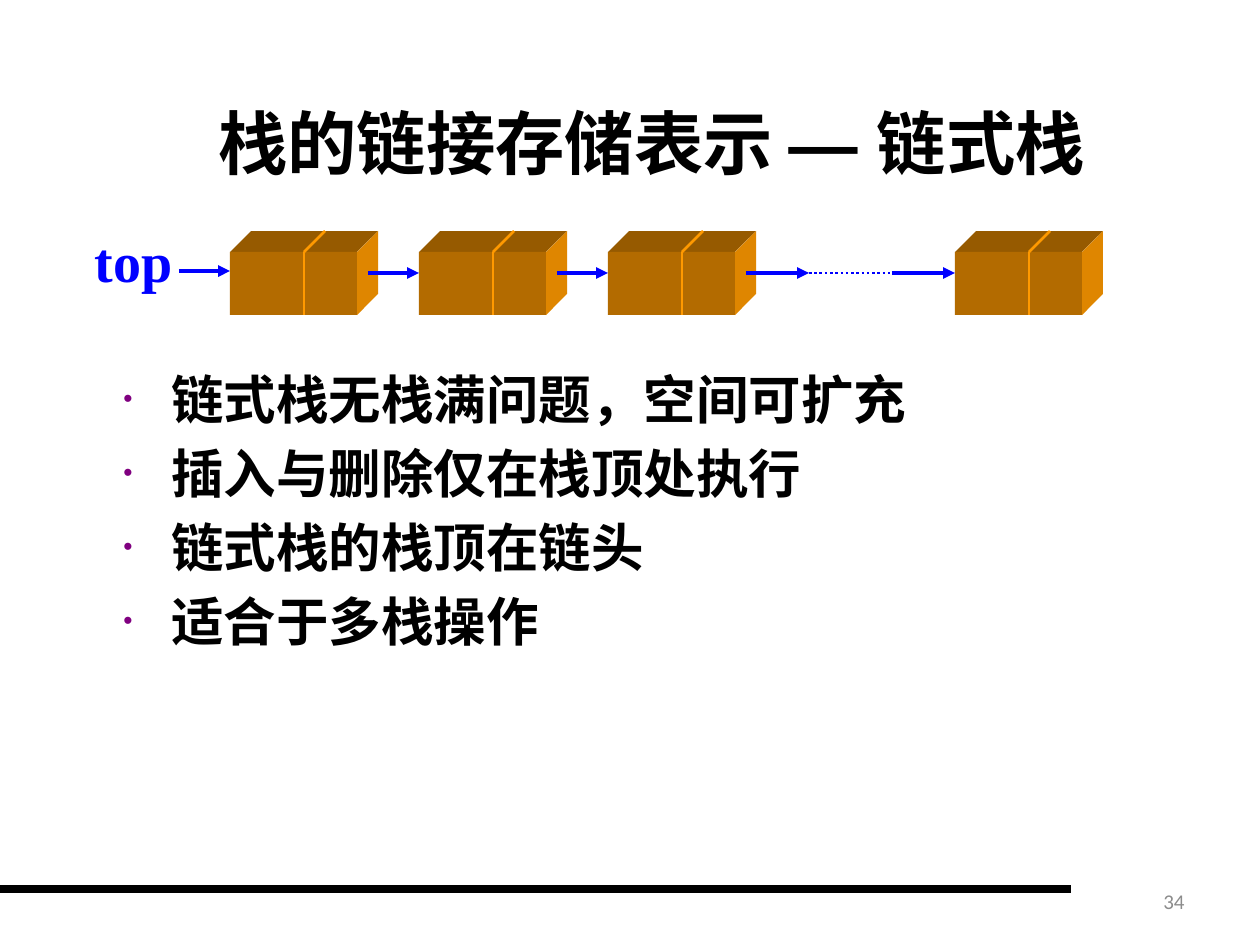
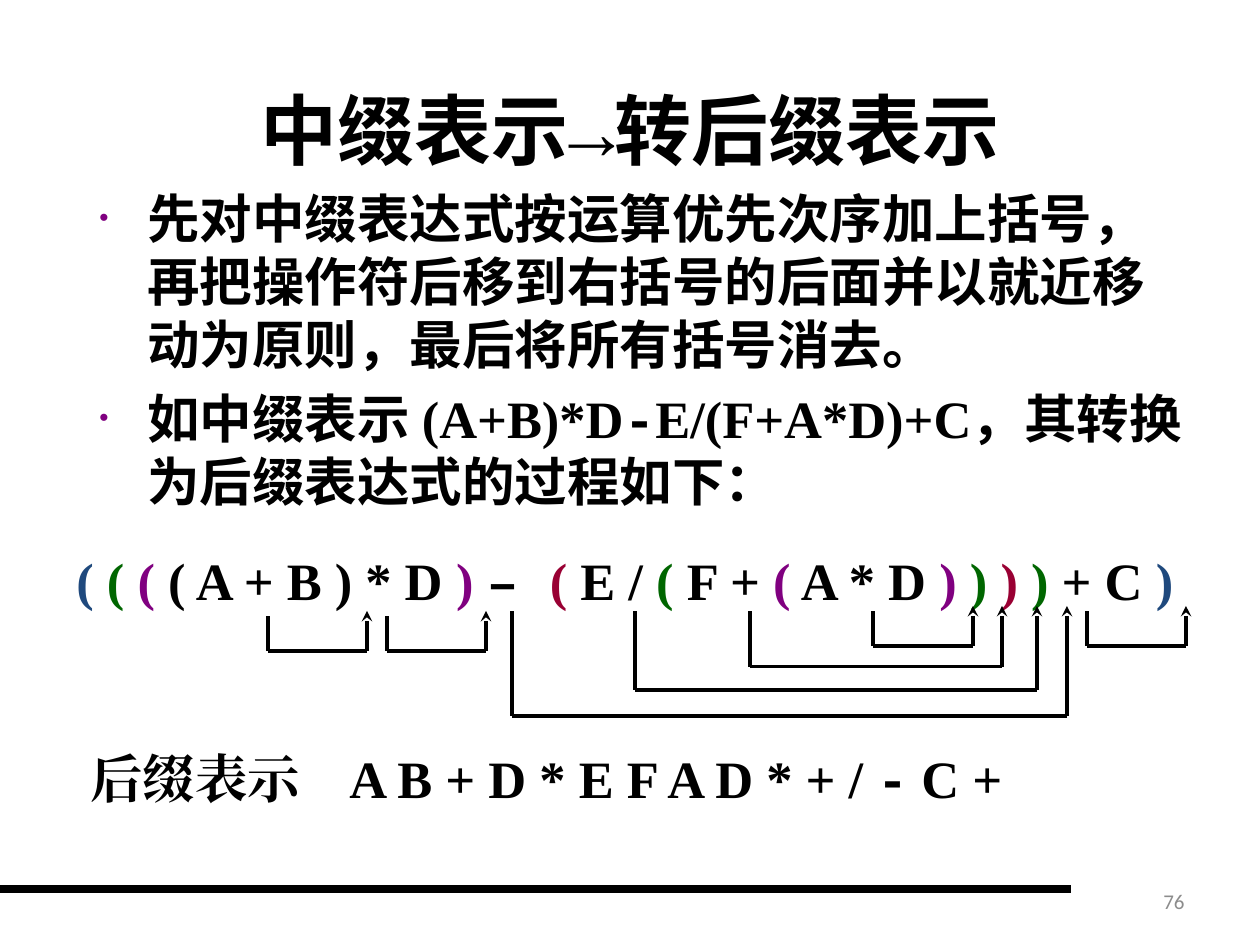
"""Builds two lecture slides: the linked stack, and infix to postfix conversion."""
import lxml.etree
import pptx
import pptx.dml.color
import pptx.enum.dml
import pptx.enum.shapes
import pptx.enum.text
import pptx.oxml.ns
import pptx.util

COLORS = {
    "black": "000000", "blue": "0000FF", "navy": "1F497D", "green": "006600",
    "purple": "800080", "red": "990033", "gray": "8C8C8C", "edge": "FF9900",
    "front": "B36B00", "top": "965A00", "side": "DF8600",
}
CJK_TITLE, CJK, SANS = "Noto Sans CJK JP", "Noto Sans CJK SC", "Calibri"
SERIF, MONO = "Times New Roman", "Courier New"
SCALE = 914400 / 126
SLIDE_SIZE = (1260, 945)

FOOTER_RULE = ((0, 889), (1071, 889))
NUMBER_BOX = (903, 876, 294, 50)
BODY_INDENT = 48

STACK = {
    "number": "34",
    "title": [("栈的链接存储表示 ", CJK_TITLE), ("— ", "Arial"), ("链式栈", CJK_TITLE)],
    "title_box": (183, 89, 937, 105),
    "title_size": 39.6,
    "points": [
        [("链式栈无栈满问题，空间可扩充", SANS)],
        [("插入与删除仅在栈顶处执行", SANS)],
        [("链式栈的栈顶在链头", SANS)],
        [("适合于多栈操作", SANS)],
    ],
    "body_box": (111, 358, 1040, 368),
    "spacing": {"line_spacing": 1.05, "space_before": pptx.util.Pt(4.5)},
}
TOP_LABEL = ("top", (82, 220, 103, 79))
NODE_LEFTS = (230, 419, 608, 955)
NODE_TOP, NODE_WIDTH, NODE_HEIGHT, NODE_DEPTH, NODE_SPLIT = 252, 127, 63, 21, 74
LINKS = [(179, 230, 271), (368, 419, 273), (557, 608, 273), (746, 809, 273), (892, 955, 273)]
OMITTED_NODES = ((809, 273), (892, 273))

POSTFIX = {
    "number": "76",
    "title": [("中缀表示", SANS), ("→", MONO), ("转后缀表示", SANS)],
    "title_box": (63, 63, 1134, 132),
    "title_size": 44,
    "points": [
        [("先对中缀表达式按运算优先次序加上括号，再把操作符后移到右括号的后面"
          "并以就近移动为原则，最后将所有括号消去。", CJK)],
        [("如中缀表示 ", CJK), ("(A+B)*D", SERIF), ("-", MONO), ("E/(F+A*D)+C", SERIF),
         ("，其转换为后缀表达式的过程如下：", CJK)],
    ],
    "body_box": (87, 180, 1109, 358),
    "spacing": {"space_before": pptx.util.Pt(6)},
}
INFIX = [
    ("( ", SERIF, "navy"), ("( ", SERIF, "green"), ("(", SERIF, "purple"),
    (" ( A + B ) * D ", SERIF, "black"), (") ", SERIF, "purple"), ("– ", MONO, "black"),
    ("(", SERIF, "red"), (" E / ", SERIF, "black"), ("(", SERIF, "green"),
    (" F + ", SERIF, "black"), ("(", SERIF, "purple"), (" A * D ", SERIF, "black"),
    (") ", SERIF, "purple"), (") ", SERIF, "green"), (") ", SERIF, "red"),
    (")", SERIF, "green"), (" + C ", SERIF, "black"), (")", SERIF, "navy"),
]
INFIX_BOX = (64, 542, 1137, 76)
RESULT = [("后缀表示\tA B + D * E F A D * + / ", SERIF), ("-", MONO), (" C +", SERIF)]
RESULT_BOX = (78, 740, 939, 76)
RESULT_TAB = 259
MOVES = [
    (268, 367, 616, 651), (387, 486, 616, 651), (873, 973, 611, 646), (750, 1002, 611, 667),
    (635, 1037, 611, 690), (1087, 1186, 611, 646), (512, 1067, 611, 716),
]
TIP_RISE = 5


def px(*lengths):
    return [round(length * SCALE) for length in lengths]


def rgb(color):
    return pptx.dml.color.RGBColor.from_string(COLORS[color])


def assign(target, values):
    for attribute, value in values.items():
        setattr(target, attribute, value)


def add_xml(parent, tag, **attributes):
    return lxml.etree.SubElement(parent, pptx.oxml.ns.qn(tag), attributes)


def write(paragraph, pieces, size, color="black", bold=True):
    for text, face, *own_color in pieces:
        run = paragraph.add_run()
        run.text = text
        assign(run.font, {"size": pptx.util.Pt(size), "bold": bold, "name": face})
        run.font.color.rgb = rgb(own_color[0] if own_color else color)
        add_xml(run.font._element, "a:ea", typeface=face)


def add_text(slide, box, pieces, size, color="black", bold=True, frame=None, align=None):
    words = slide.shapes.add_textbox(*px(*box)).text_frame
    assign(words, {"word_wrap": False, **(frame or {})})
    paragraph = words.paragraphs[0]
    paragraph.alignment = align
    write(paragraph, pieces, size, color, bold)
    return paragraph


def add_line(slide, start, end, color, width, arrow=None, dash=None):
    straight = pptx.enum.shapes.MSO_CONNECTOR.STRAIGHT
    connector = slide.shapes.add_connector(straight, *px(*start, *end))
    connector.line.color.rgb = rgb(color)
    assign(connector.line, {"width": pptx.util.Pt(width), "dash_style": dash})
    if arrow:
        add_xml(connector.line._get_or_add_ln(), "a:tailEnd", type=arrow)
    add_xml(connector._element.spPr, "a:effectLst")


def add_face(slide, corners, color):
    outline = slide.shapes.build_freeform(*corners[0], scale=SCALE)
    outline.add_line_segments(corners[1:], close=True)
    face = outline.convert_to_shape()
    face.shadow.inherit = False
    face.fill.solid()
    face.fill.fore_color.rgb = rgb(color)
    face.line.fill.background()


def add_node(slide, left):
    right, split = left + NODE_WIDTH, left + NODE_SPLIT
    top, bottom, depth = NODE_TOP, NODE_TOP + NODE_HEIGHT, NODE_DEPTH
    back = top - depth
    add_face(slide, [(left, top), (left + depth, back), (right + depth, back), (right, top)], "top")
    add_face(slide, [(right, top), (right + depth, back), (right + depth, bottom - depth),
                     (right, bottom)], "side")
    front = slide.shapes.add_shape(pptx.enum.shapes.MSO_SHAPE.RECTANGLE,
                                   *px(left, top, NODE_WIDTH, NODE_HEIGHT))
    front.shadow.inherit = False
    front.fill.solid()
    front.fill.fore_color.rgb = rgb("front")
    front.line.fill.background()
    for end in ((split, bottom), (split + depth, back)):
        add_line(slide, (split, top), end, "edge", 1.5)


def add_points(slide, content):
    box = slide.shapes.add_textbox(*px(*content["body_box"]))
    box.text_frame.word_wrap = True
    indent = px(BODY_INDENT)[0]
    for index, pieces in enumerate(content["points"]):
        paragraph = box.text_frame.add_paragraph() if index else box.text_frame.paragraphs[0]
        properties = paragraph._p.get_or_add_pPr()
        assign_indent = {"marL": str(indent), "indent": str(-indent)}
        for attribute, value in assign_indent.items():
            properties.set(attribute, value)
        add_xml(add_xml(properties, "a:buClr"), "a:srgbClr", val=COLORS["purple"])
        add_xml(properties, "a:buSzPct", val="50000")
        add_xml(properties, "a:buFont", typeface="Arial")
        add_xml(properties, "a:buChar", char="•")
        assign(paragraph, content["spacing"])
        if index == 0:
            paragraph.space_before = pptx.util.Pt(0)
        write(paragraph, pieces, 30)


def add_slide(deck, content):
    slide = deck.slides.add_slide(deck.slide_layouts[5])
    add_line(slide, *FOOTER_RULE, "black", 4.5)
    title = slide.shapes.title
    assign(title, dict(zip(("left", "top", "width", "height"), px(*content["title_box"]))))
    middle = {"vertical_anchor": pptx.enum.text.MSO_ANCHOR.MIDDLE, "word_wrap": True}
    assign(title.text_frame, {**middle, "auto_size": pptx.enum.text.MSO_AUTO_SIZE.NONE})
    heading = title.text_frame.paragraphs[0]
    heading.alignment = pptx.enum.text.PP_ALIGN.CENTER
    write(heading, content["title"], content["title_size"])
    add_points(slide, content)
    add_text(slide, NUMBER_BOX, [(content["number"], SANS)], 12, "gray", False, middle,
             pptx.enum.text.PP_ALIGN.RIGHT)
    return slide


def build_stack(deck):
    slide = add_slide(deck, STACK)
    label, box = TOP_LABEL
    add_text(slide, box, [(label, SERIF)], 32, "blue")
    for left in NODE_LEFTS:
        add_node(slide, left)
    for start, end, level in LINKS:
        add_line(slide, (start, level), (end, level), "blue", 2.25, "triangle")
    add_line(slide, *OMITTED_NODES, "blue", 1.5, dash=pptx.enum.dml.MSO_LINE.ROUND_DOT)


def build_postfix(deck):
    slide = add_slide(deck, POSTFIX)
    add_text(slide, INFIX_BOX, INFIX, 30)
    for operator, target, top, base in MOVES:
        add_line(slide, (target, base), (target, top - TIP_RISE), "black", 2, "stealth")
        add_line(slide, (target, base), (operator, base), "black", 1.75)
        add_line(slide, (operator, base), (operator, top), "black", 2)
    result = add_text(slide, RESULT_BOX, RESULT, 30)
    tabs = add_xml(result._p.get_or_add_pPr(), "a:tabLst")
    add_xml(tabs, "a:tab", pos=str(px(RESULT_TAB)[0]), algn="l")


def main():
    deck = pptx.Presentation()
    assign(deck, dict(zip(("slide_width", "slide_height"), px(*SLIDE_SIZE))))
    build_stack(deck)
    build_postfix(deck)
    deck.save("out.pptx")


if __name__ == "__main__":
    main()
